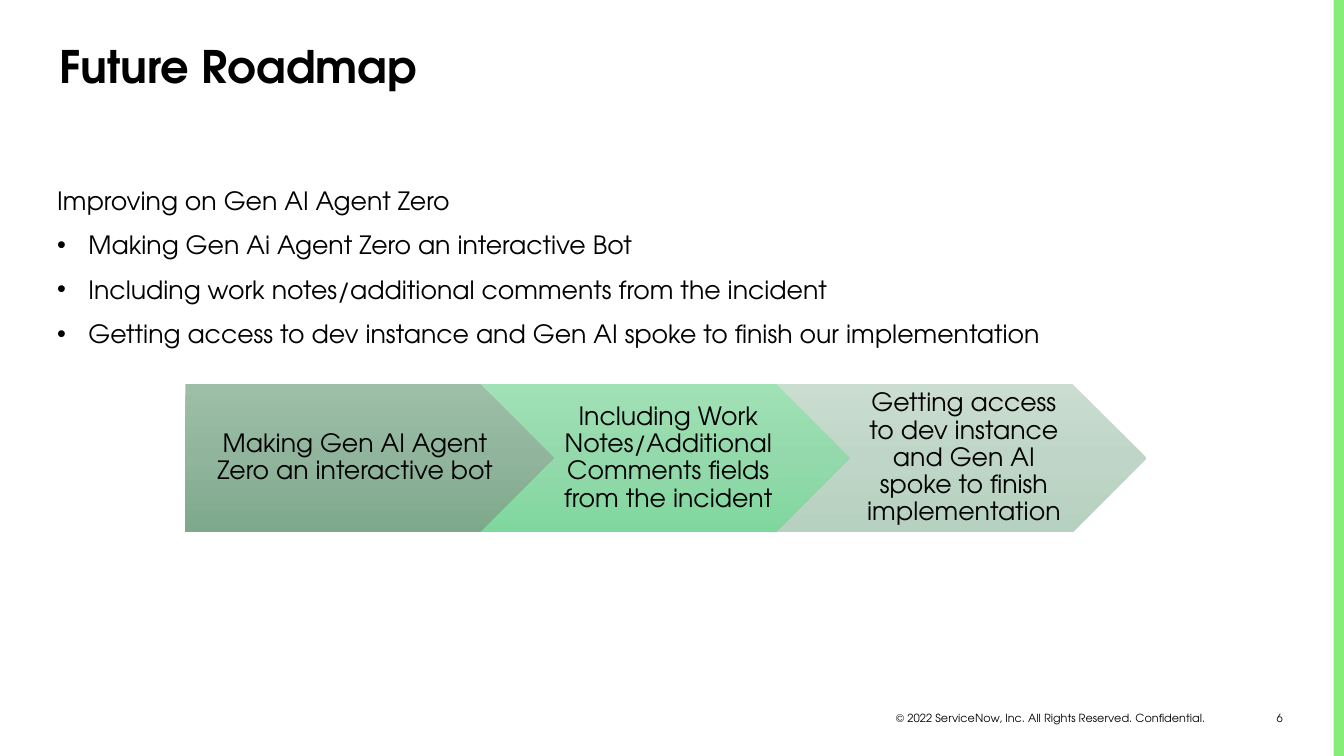
from copy import deepcopy
from dataclasses import dataclass

from lxml import etree
from pptx import Presentation
from pptx.dml.color import RGBColor
from pptx.enum.shapes import MSO_SHAPE
from pptx.enum.text import MSO_ANCHOR, PP_ALIGN
from pptx.oxml.ns import qn
from pptx.util import Cm, Pt

RECTANGLE, PENTAGON, CHEVRON = MSO_SHAPE.RECTANGLE, MSO_SHAPE.PENTAGON, MSO_SHAPE.CHEVRON
LEFT, CENTER, RIGHT = PP_ALIGN.LEFT, PP_ALIGN.CENTER, PP_ALIGN.RIGHT
TOP, MIDDLE = MSO_ANCHOR.TOP, MSO_ANCHOR.MIDDLE


@dataclass(frozen=True)
class Theme:
    font: str = "TeX Gyre Adventor"
    text: str = "000000"
    accent: str = "86ED78"
    gradients: tuple = (
        ("9DBFA8", "90B49C", "7CA98B"),
        ("A0E2B6", "94D9AB", "7FD79E"),
        ("CBDDD1", "BFD5C7", "B6D1BF"),
    )
    title_size: int = 32
    body_size: int = 18
    footer_size: int = 8


THEME = Theme()
SLIDE_WIDTH, SLIDE_HEIGHT = 33.87, 19.05
BULLET_INDENT = 0.79

INTRO = "Improving on Gen AI Agent Zero"
BULLETS = (
    "Making Gen Ai Agent Zero an interactive Bot",
    "Including work notes/additional comments from the incident",
    "Getting access to dev instance and Gen AI spoke to finish our implementation",
)
STEPS = (
    "Making Gen AI Agent Zero an interactive bot",
    "Including Work Notes/Additional Comments fields from the incident",
    "Getting access to dev instance and Gen AI spoke to finish implementation",
)


def apply_format(target, values):
    for name, value in values.items():
        setattr(target, name, value)


def write_text(para, text, size, bold=False, **paragraph_format):
    apply_format(para, paragraph_format)
    span = para.add_run()
    span.text = text
    apply_format(span.font, {"name": THEME.font, "size": Pt(size), "bold": bold})
    span.font.color.rgb = RGBColor.from_string(THEME.text)


def add_text_frame(page, box, anchor=TOP):
    frame = page.shapes.add_textbox(*map(Cm, box)).text_frame
    apply_format(frame, {"word_wrap": True, "vertical_anchor": anchor})
    return frame


def add_bullet(para):
    properties = para._p.get_or_add_pPr()
    properties.set("marL", str(Cm(BULLET_INDENT)))
    properties.set("indent", str(-Cm(BULLET_INDENT)))
    etree.SubElement(properties, qn("a:buFont")).set("typeface", "Arial")
    etree.SubElement(properties, qn("a:buChar")).set("char", "•")


def fill_gradient(shape, colors):
    """Fill from top to bottom with three evenly spaced colours."""
    shape.fill.gradient()
    shape.fill.gradient_angle = 270
    stop_list = shape._element.spPr.find(qn("a:gradFill")).find(qn("a:gsLst"))
    stop_list.insert(1, deepcopy(stop_list[0]))
    for index, (stop, color) in enumerate(zip(shape.fill.gradient_stops, colors)):
        stop.position = index / 2
        stop.color.rgb = RGBColor.from_string(color)


def add_title(page, box):
    frame = add_text_frame(page, box)
    write_text(frame.paragraphs[0], "Future Roadmap", THEME.title_size, bold=True)


def add_body(page, box):
    frame = add_text_frame(page, box)
    write_text(frame.paragraphs[0], INTRO, THEME.body_size, alignment=LEFT, space_after=Pt(6))
    for bullet in BULLETS:
        para = frame.add_paragraph()
        para.space_before, para.space_after = Pt(4), Pt(6)
        add_bullet(para)
        write_text(para, bullet, THEME.body_size)


def add_roadmap(page, box):
    """Chain of arrows in which each point fits the notch of the next."""
    left, top, width, height = box
    point = height / 2
    step_width = (width + point * (len(STEPS) - 1)) / len(STEPS)
    for index, (step, colors) in enumerate(zip(STEPS, THEME.gradients)):
        arrow = page.shapes.add_shape(
            CHEVRON if index else PENTAGON,
            Cm(left + index * (step_width - point)), Cm(top), Cm(step_width), Cm(height),
        )
        arrow.shadow.inherit = False
        arrow.line.fill.background()
        fill_gradient(arrow, colors)
        apply_format(arrow.text_frame, {
            "word_wrap": True,
            "vertical_anchor": MIDDLE,
            "margin_left": Cm(0.2 if index else 0.25),
            "margin_right": Cm(0.08),
            "margin_top": Cm(0.13),
            "margin_bottom": Cm(0.13),
        })
        write_text(arrow.text_frame.paragraphs[0], step, THEME.body_size,
                   alignment=CENTER, line_spacing=0.9)


def add_footer(page, box):
    left, top, width, height = box
    number_width = 1.85
    notice_width = width - number_width - 0.09
    notice = add_text_frame(page, (left, top, notice_width, 0.58), MIDDLE)
    write_text(notice.paragraphs[0], "© 2022 ServiceNow, Inc. All Rights Reserved. Confidential.",
               THEME.footer_size, alignment=RIGHT)
    number = add_text_frame(page, (left + width - number_width, top, number_width, height))
    write_text(number.paragraphs[0], "6", THEME.footer_size, alignment=RIGHT)


def add_edge_bar(page, box):
    bar = page.shapes.add_shape(RECTANGLE, *map(Cm, box))
    bar.shadow.inherit = False
    bar.fill.solid()
    bar.fill.fore_color.rgb = RGBColor.from_string(THEME.accent)
    bar.line.fill.background()


def main():
    deck = Presentation()
    deck.slide_width, deck.slide_height = Cm(SLIDE_WIDTH), Cm(SLIDE_HEIGHT)
    page = deck.slides.add_slide(deck.slide_layouts[6])
    add_footer(page, (22.05, 17.81, 10.53, 0.64))
    add_edge_bar(page, (SLIDE_WIDTH - 0.26, 0, 0.26, SLIDE_HEIGHT))
    add_title(page, (1.24, 0.86, 31.09, 3.33))
    add_body(page, (1.19, 4.55, 31.17, 6.63))
    add_roadmap(page, (4.67, 9.68, 24.22, 3.73))
    deck.save("out.pptx")


if __name__ == "__main__":
    main()
